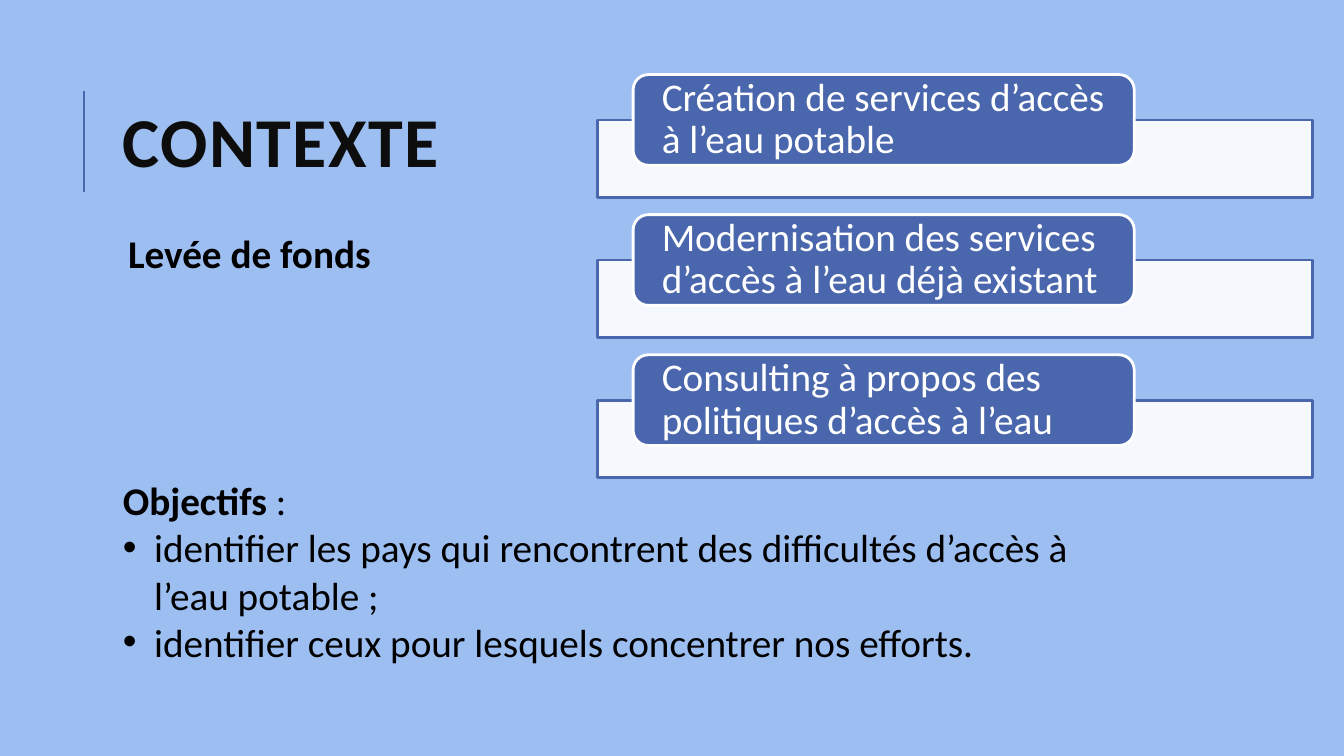
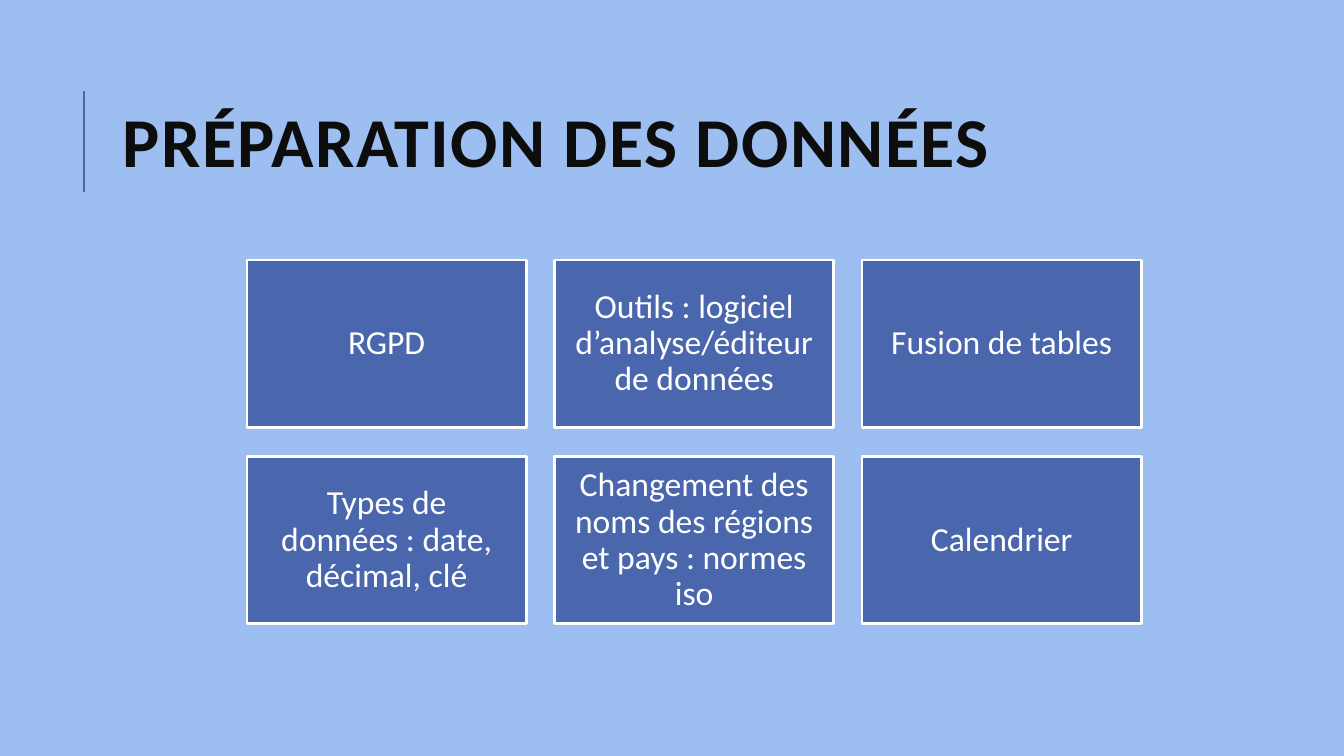
from dataclasses import dataclass

from lxml.etree import SubElement as Sub
from pptx import Presentation
from pptx.dml.color import RGBColor as Rgb
from pptx.enum.shapes import MSO_CONNECTOR as Link, MSO_SHAPE as Kind
from pptx.enum.text import MSO_ANCHOR as Anchor, PP_ALIGN as Align
from pptx.oxml.ns import qn
from pptx.util import Inches, Pt


@dataclass(frozen=True)
class Theme:
    font: str = "Calibri"
    back: str = "9DBEF1"
    blue: str = "4A66AC"
    white: str = "FFFFFF"
    ink: str = "0D0D0D"
    black: str = "000000"
    head: int = 50
    body: int = 28
    tile: int = 24
    rule: float = 1.5
    edge: int = 2


class Deck:
    def __init__(self, theme):
        self.theme = theme
        self.prs = Presentation()
        self.prs.slide_width = Inches(13.33)
        self.prs.slide_height = Inches(7.5)
        self.slide = None

    def page(self, title):
        look = self.theme
        self.slide = self.prs.slides.add_slide(self.prs.slide_layouts[6])
        fill = self.slide.background.fill
        fill.solid()
        fill.fore_color.rgb = Rgb.from_string(look.back)
        self.rule(0.83, 0.9, 1.9)
        frame = self.text((1.12, 0.64, 10.63, 1.64), Anchor.MIDDLE)
        para = frame.paragraphs[0]
        para.text = title
        para.line_spacing = 0.8
        self.style(para, look.head, look.ink, True)
        for run in para.runs:
            run.font._element.set("spc", "100")

    def rule(self, left, top, end):
        line = self.slide.shapes.add_connector(
            Link.STRAIGHT, Inches(left), Inches(end), Inches(left), Inches(top))
        line.line.color.rgb = Rgb.from_string(self.theme.blue)
        line.line.width = Pt(self.theme.rule)
        Sub(line._element.spPr, qn("a:effectLst"))

    def text(self, area, anchor=Anchor.TOP):
        frame = self.slide.shapes.add_textbox(*map(Inches, area)).text_frame
        frame.word_wrap = True
        frame.vertical_anchor = anchor
        return frame

    def style(self, para, size, color, bold=False):
        for run in para.runs:
            font = run.font
            font.name = self.theme.font
            font.size = Pt(size)
            font.bold = bold
            font.color.rgb = Rgb.from_string(color)

    def shape(self, kind, area, fill, edge, alpha=None):
        shape = self.slide.shapes.add_shape(kind, *map(Inches, area))
        shape.shadow.inherit = False
        shape.fill.solid()
        shape.fill.fore_color.rgb = Rgb.from_string(fill)
        shape.line.color.rgb = Rgb.from_string(edge)
        shape.line.width = Pt(self.theme.edge)
        if alpha:
            tint = shape.fill._xPr.find(qn("a:solidFill"))[0]
            Sub(tint, qn("a:alpha"), val=str(alpha * 1000))
        return shape

    def card(self, kind, area, words, size, align, pad):
        look = self.theme
        frame = self.shape(kind, area, look.blue, look.white).text_frame
        frame.word_wrap = True
        frame.vertical_anchor = Anchor.MIDDLE
        frame.margin_left = frame.margin_right = Inches(pad[0])
        frame.margin_top = frame.margin_bottom = Inches(pad[1])
        para = frame.paragraphs[0]
        para.text = words
        para.alignment = align
        para.line_spacing = 0.9
        self.style(para, size, look.white)

    def strip(self, top, words):
        look = self.theme
        self.shape(Kind.RECTANGLE, (5.93, top + 0.45, 7.09, 0.77),
                   look.white, look.blue, 90)
        self.card(Kind.ROUNDED_RECTANGLE, (6.28, top, 4.97, 0.9), words,
                  look.body, Align.LEFT, (0.24, 0.04))

    def tile(self, left, top, words):
        self.card(Kind.RECTANGLE, (left, top, 2.77, 1.66), words,
                  self.theme.tile, Align.CENTER, (0.1, 0.1))

    def label(self, area, words):
        frame = self.text(area)
        frame.margin_left = Inches(0.15)
        para = frame.paragraphs[0]
        para.text = words
        para.line_spacing = 0.9
        self.style(para, self.theme.body, self.theme.black, True)

    def points(self, area, lead, tail, items):
        look = self.theme
        frame = self.text(area)
        first = frame.paragraphs[0]
        first.text = lead
        first.add_run().text = tail
        self.style(first, look.body, look.black)
        first.runs[0].font.bold = True
        for item in items:
            para = frame.add_paragraph()
            props = para._p.get_or_add_pPr()
            props.set("marL", str(Inches(0.31)))
            props.set("indent", str(-Inches(0.31)))
            Sub(props, qn("a:buFont"), typeface="Arial")
            Sub(props, qn("a:buChar"), char="•")
            para.text = item
            self.style(para, look.body, look.black)


def main():
    deck = Deck(Theme())

    deck.page("CONTEXTE")
    goals = (
        "Création de services d’accès à l’eau potable",
        "Modernisation des services d’accès à l’eau déjà existant",
        "Consulting à propos des politiques d’accès à l’eau",
    )
    for row, words in enumerate(goals):
        deck.strip(0.74 + row * 1.39, words)
    deck.label((1.12, 2.28, 4.28, 0.92), "Levée de fonds")
    deck.points((1.12, 4.68, 10.06, 1.99), "Objectifs ", ":", (
        "identifier les pays qui rencontrent des difficultés d’accès à l’eau potable ;",
        "identifier ceux pour lesquels concentrer nos efforts.",
    ))

    deck.page("PRÉPARATION DES DONNÉES")
    steps = (
        "RGPD",
        "Outils : logiciel d’analyse/éditeur de données",
        "Fusion de tables",
        "Types de données : date, décimal, clé",
        "Changement des noms des régions et pays : normes iso",
        "Calendrier",
    )
    for spot, words in enumerate(steps):
        row, col = divmod(spot, 3)
        deck.tile(2.45 + col * 3.05, 2.58 + row * 1.95, words)

    deck.prs.save("out.pptx")


if __name__ == "__main__":
    main()
